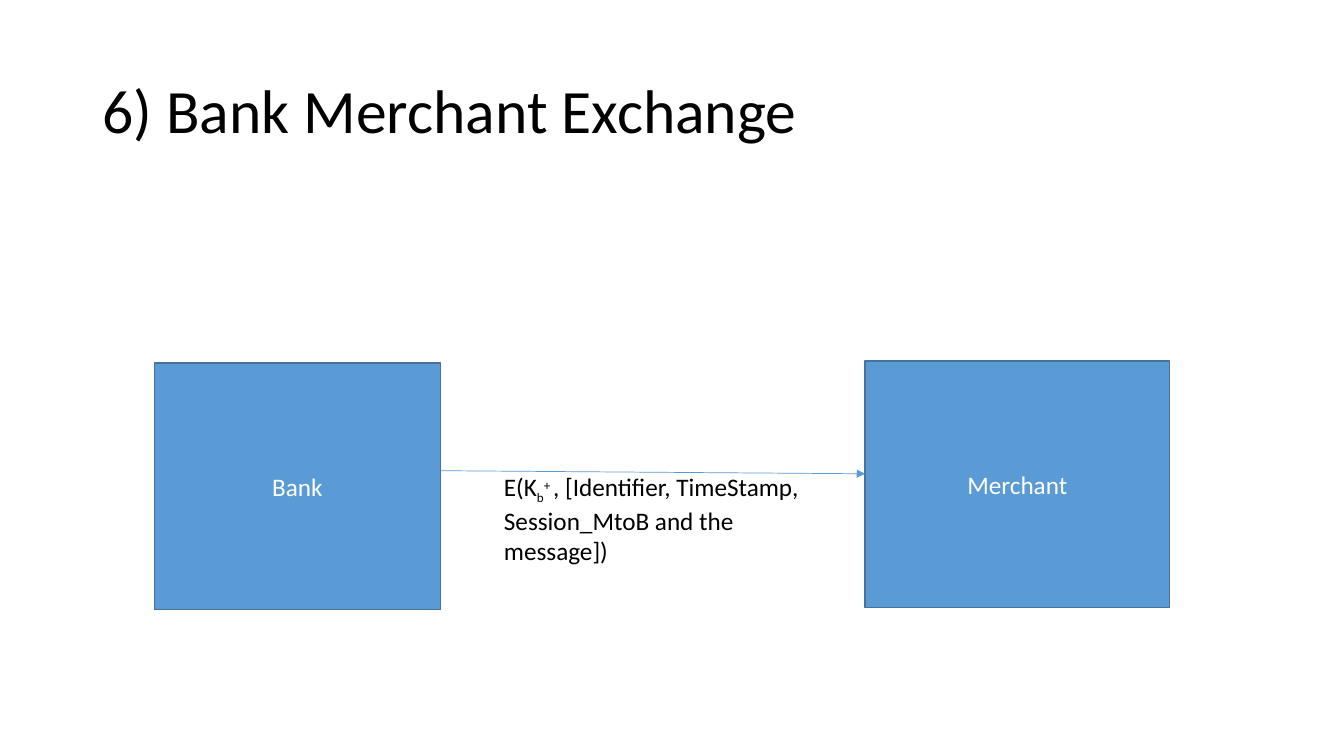
from pptx import Presentation
from pptx.dml.color import RGBColor
from pptx.enum.shapes import MSO_CONNECTOR as CONNECTOR, MSO_SHAPE as SHAPE
from pptx.enum.text import MSO_ANCHOR as ANCHOR, PP_ALIGN as ALIGN
from pptx.oxml.ns import qn
from pptx.util import Inches, Pt
from lxml.etree import SubElement

BLUE, EDGE, BLACK, WHITE = "5B9BD5", "43739E", "000000", "FFFFFF"


def color(hex_code):
    return RGBColor.from_string(hex_code)


def write(frame, runs, hex_code, anchor=ANCHOR.TOP, **paragraph_format):
    """Fill a text frame with runs of (text, size, baseline percent)."""
    frame.word_wrap = True
    frame.vertical_anchor = anchor
    paragraph = frame.paragraphs[0]
    for key, value in paragraph_format.items():
        setattr(paragraph, key, value)
    for text, size, baseline in runs:
        run = paragraph.add_run()
        run.text = text
        for key, value in {"name": "Calibri", "size": Pt(size)}.items():
            setattr(run.font, key, value)
        run.font.color.rgb = color(hex_code)
        if baseline:
            run.font._element.set("baseline", str(baseline * 1000))


def add_title(slide, box, text):
    title = slide.shapes.add_textbox(*map(Inches, box))
    write(title.text_frame, [(text, 44, 0)], BLACK, ANCHOR.MIDDLE, line_spacing=0.9)


def add_party(slide, box, name):
    party = slide.shapes.add_shape(SHAPE.RECTANGLE, *map(Inches, box))
    party.shadow.inherit = False
    party.fill.solid()
    party.fill.fore_color.rgb = color(BLUE)
    party.line.color.rgb = color(EDGE)
    party.line.width = Pt(1)
    write(party.text_frame, [(name, 18, 0)], WHITE, ANCHOR.MIDDLE, alignment=ALIGN.CENTER)


def add_message(slide, start, end, box, runs):
    # Arrow from sender to receiver
    arrow = slide.shapes.add_connector(CONNECTOR.STRAIGHT, *map(Inches, start + end))
    arrow.line.color.rgb = color(BLUE)
    arrow.line.width = Pt(0.5)
    SubElement(arrow.line._get_or_add_ln(), qn("a:tailEnd"), type="triangle")
    SubElement(arrow._element.spPr, qn("a:effectLst"))

    # Message below the arrow
    message = slide.shapes.add_textbox(*map(Inches, box))
    write(message.text_frame, runs, BLACK)


def add_exchange(slide, bank, merchant):
    add_party(slide, bank, "Bank")
    add_party(slide, merchant, "Merchant")
    left, top, width, _ = bank
    bank_edge = left + width
    add_message(
        slide,
        (bank_edge, top + 1.07),
        (merchant[0], merchant[1] + 1.12),
        (bank_edge + 0.53, top + 1.03, 3.14, 1.01),
        [
            ("E(K", 18, 0),
            ("b", 16, -25),
            ("+ ", 16, 30),
            (", [Identifier, TimeStamp, Session_MtoB and the message])", 18, 0),
        ],
    )


def main():
    deck = Presentation()
    deck.slide_width, deck.slide_height = Inches(13.33), Inches(7.5)
    slide = deck.slides.add_slide(deck.slide_layouts[6])
    add_title(slide, (0.92, 0.4, 11.5, 1.45), "6) Bank Merchant Exchange")
    add_exchange(slide, (1.53, 3.6, 2.84, 2.45), (8.58, 3.58, 3.02, 2.45))
    deck.save("out.pptx")


if __name__ == "__main__":
    main()
